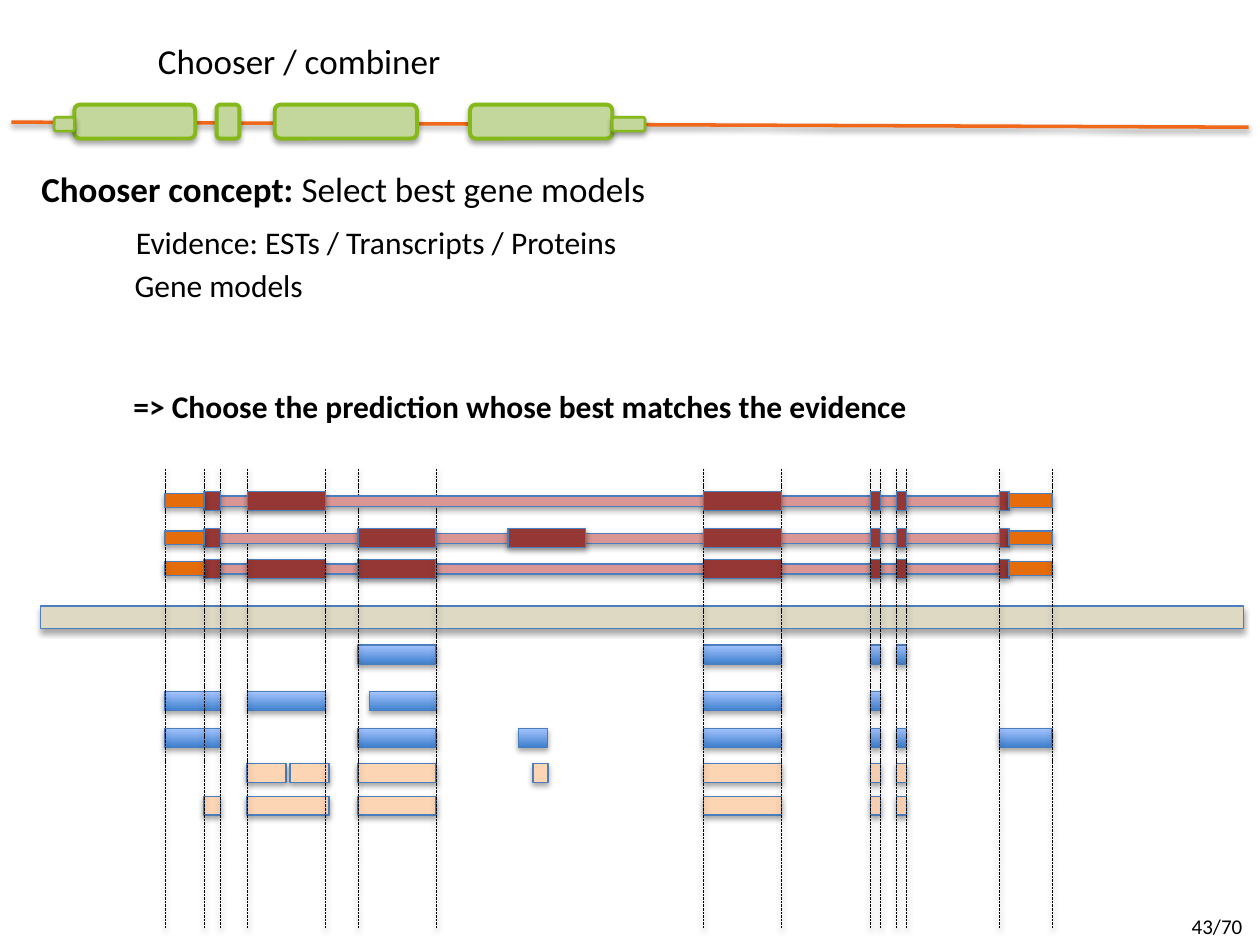
import pptx
import pptx.dml.color
import pptx.enum.dml
import pptx.enum.shapes
import pptx.enum.text
import pptx.oxml.ns
import pptx.util
from lxml import etree

Pt = pptx.util.Pt
RGBColor = pptx.dml.color.RGBColor
KIND = pptx.enum.shapes.MSO_SHAPE
ALIGN = pptx.enum.text.PP_ALIGN

BLACK = RGBColor(0x00, 0x00, 0x00)
ORANGE = RGBColor(0xF0, 0x68, 0x1A)
GREEN = RGBColor(0x84, 0xB9, 0x19)
LIME = RGBColor(0xC3, 0xD6, 0x9B)
EDGE = RGBColor(0x4B, 0x7E, 0xBC)
SAND = RGBColor(0xDD, 0xD9, 0xC3)
PINK = RGBColor(0xD9, 0x96, 0x94)
MAROON = RGBColor(0x95, 0x37, 0x35)
AMBER = RGBColor(0xE4, 0x6C, 0x0A)
PEACH = RGBColor(0xFC, 0xD5, 0xB5)
BLUE = RGBColor(0x3F, 0x80, 0xCE)
SKY = RGBColor(0xA4, 0xC4, 0xFF)

HIGH = 10.8
START = (116.6, 126)
SECOND = (141.4, 185.9)
THIRD = (204.6, 249.2)
EXTRA = (290.2, 334.8)
FOURTH = (402.1, 446.8)
FIFTH = (497.4, 503)
SIXTH = (512.4, 518)
STOP = (571, 576.6)
LEFT, RIGHT = 94.3, 601.2
TAIL = [FOURTH, FIFTH, SIXTH]

MODELS = {
    319.7: [SECOND, THIRD],
    302.1: [THIRD, EXTRA],
    280.9: [SECOND],
}
READS = {
    368.6: [THIRD, *TAIL],
    395.3: [(LEFT, 126), SECOND, (211, 249.5), FOURTH, FIFTH],
    416.2: [(LEFT, 126), THIRD, (296.4, 313), *TAIL, (571, RIGHT)],
}
HITS = {
    436.3: [(141.1, 163.4), (165.7, 188), THIRD, (304.6, 313.2), *TAIL],
    455: [START, (141.1, 188), THIRD, *TAIL],
}


def shade(item, dist, alpha):
    ns = pptx.oxml.ns.qn
    effects = etree.SubElement(item.element.spPr, ns("a:effectLst"))
    outer = etree.SubElement(
        effects, ns("a:outerShdw"), blurRad="40000", dist=str(dist),
        dir="5400000", rotWithShape="0")
    tint = etree.SubElement(outer, ns("a:srgbClr"), val=str(BLACK))
    etree.SubElement(tint, ns("a:alpha"), val=str(alpha))


def write(frame, text, size=18, bold=False, align=ALIGN.LEFT, wrap=False):
    frame.word_wrap = wrap
    para = frame.paragraphs[0]
    para.alignment = align
    run = para.add_run()
    run.text = text
    run.font.name = "Calibri"
    run.font.size = Pt(size)
    run.font.bold = bold
    run.font.color.rgb = BLACK


def label(slide, x, y, w, h, text, **style):
    box = slide.shapes.add_textbox(Pt(x), Pt(y), Pt(w), Pt(h))
    write(box.text_frame, text, **style)
    return box


def block(shapes, span, y, h, fill, kind=KIND.RECTANGLE, edge=EDGE, width=0.75):
    x, end = span
    item = shapes.add_shape(kind, Pt(x), Pt(y), Pt(end - x), Pt(h))
    if fill == BLUE:
        item.fill.gradient()
        item.fill.gradient_angle = 90
        for stop, shade_of in zip(item.fill.gradient_stops, (BLUE, SKY)):
            stop.color.rgb = shade_of
    else:
        item.fill.solid()
        item.fill.fore_color.rgb = fill
    item.line.color.rgb = edge
    item.line.width = Pt(width)
    shade(item, 23000, 35000)


def rule(shapes, x, y, end, foot, color, width, dash=None):
    item = shapes.add_connector(
        pptx.enum.shapes.MSO_CONNECTOR.STRAIGHT, Pt(x), Pt(y), Pt(end), Pt(foot))
    item.line.color.rgb = color
    item.line.width = Pt(width)
    if dash:
        item.line.dash_style = dash
    shade(item, 20000, 38000)


def banner(slide):
    rule(slide.shapes, 6.5, 69.8, 713.5, 72.7, ORANGE, 2)
    for span in [(42.5, 111.6), (123.8, 136.8), (157, 238.3), (268.6, 349.9)]:
        block(slide.shapes, span, 59.8, 19.4, LIME,
              KIND.ROUNDED_RECTANGLE, GREEN, 2.25)
    for span in [(349.9, 368.6), (31, 42.5)]:
        block(slide.shapes, span, 67, 7.9, LIME,
              KIND.ROUNDED_RECTANGLE, GREEN, 1.5)


def model(slide, y):
    shapes = slide.shapes.add_group_shape().shapes
    block(shapes, (123.1, 571), y + 2.6, 5.8, PINK)
    for span in [*MODELS[y], *TAIL, STOP, START]:
        block(shapes, span, y, HIGH, MAROON)
    for span in [(LEFT, START[0]), (STOP[1], RIGHT)]:
        block(shapes, span, y + 1.3, 7.9, AMBER)


def tracks(slide, rows, fill):
    shapes = slide.shapes.add_group_shape().shapes
    for y, spans in rows.items():
        for span in spans:
            block(shapes, span, y, HIGH, fill)


def guides(slide):
    shapes = slide.shapes.add_group_shape().shapes
    edges = [LEFT, *START, *SECOND, *THIRD, *FOURTH, *FIFTH, *SIXTH, STOP[0], RIGHT]
    for x in edges:
        rule(shapes, x, 267.8, x, 530.6, BLACK, 0.5,
             pptx.enum.dml.MSO_LINE.SQUARE_DOT)


def main():
    deck = pptx.Presentation()
    deck.slide_width, deck.slide_height = Pt(720), Pt(540)
    slide = deck.slides.add_slide(deck.slide_layouts[5])
    banner(slide)

    title = slide.shapes.title
    title.left, title.top, title.width, title.height = Pt(36), Pt(17.3), Pt(270), Pt(34.6)
    title.text_frame.vertical_anchor = pptx.enum.text.MSO_ANCHOR.MIDDLE
    write(title.text_frame, "Chooser / combiner", size=20, align=ALIGN.CENTER, wrap=True)

    idea = label(slide, 16.6, 92.2, 362.9, 31.7, "Chooser concept: ", size=20, bold=True)
    write(idea.text_frame, "Select best gene models", size=20)
    label(slide, 70.6, 123.8, 316.8, 28.8,
          "Evidence: ESTs / Transcripts / Proteins", wrap=True)
    label(slide, 69.8, 148.3, 111.6, 28.8, "Gene models")

    block(slide.shapes, (23, 710.6), 346.3, 13, SAND)
    first, *others = MODELS
    model(slide, first)
    tracks(slide, HITS, PEACH)
    tracks(slide, READS, BLUE)
    guides(slide)
    for y in others:
        model(slide, y)

    label(slide, 69.1, 217.4, 462.2, 28.8,
          "=> Choose the prediction whose best matches the evidence", bold=True)
    label(slide, 673.9, 518.4, 46.1, 21.6, "43/70", size=12, wrap=True)
    deck.save("out.pptx")


if __name__ == "__main__":
    main()
